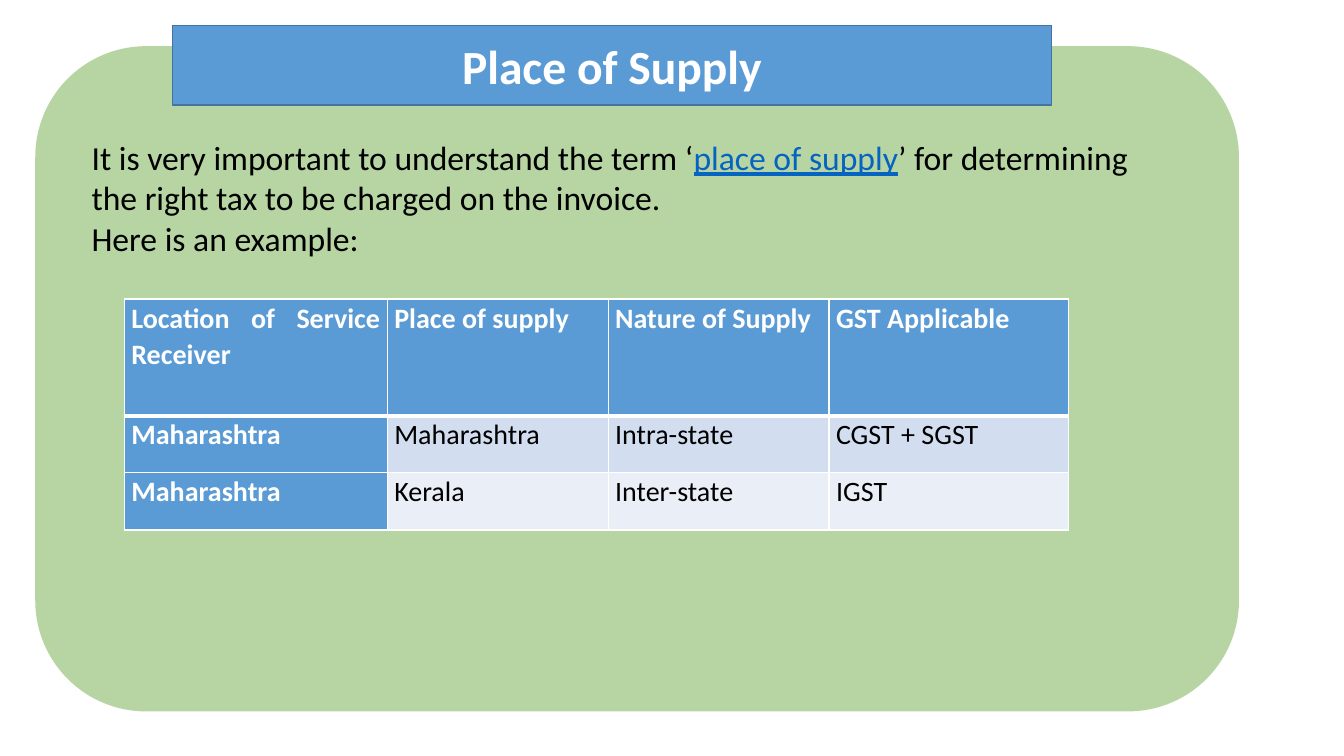
from lxml.etree import SubElement
from pptx import Presentation
from pptx.dml.color import RGBColor
from pptx.enum.shapes import MSO_SHAPE as Shape
from pptx.enum.text import MSO_ANCHOR as Anchor, MSO_AUTO_SIZE as AutoSize, PP_ALIGN as Align
from pptx.oxml import parse_xml
from pptx.oxml.ns import nsdecls, qn
from pptx.util import Inches, Pt

WHITE, BLACK, BLUE, NAVY, GREEN, LINK = "FFFFFF", "000000", "5B9BD5", "43739E", "70AD47", "0563C1"
BANDS = ["D2DEEF", "EAEFF7"]


def paint(color, hex_code):
    color.rgb = RGBColor.from_string(hex_code)


def fill_with(item, hex_code):
    item.fill.solid()
    paint(item.fill.fore_color, hex_code)


class SlideBuilder:
    font = "Calibri"
    columns, rows = 160, 90

    def __init__(self, deck):
        self.page = deck.slides.add_slide(deck.slide_layouts[1])
        self.column = deck.slide_width / self.columns
        self.row = deck.slide_height / self.rows

    def across(self, count):
        return round(count * self.column)

    def down(self, count):
        return round(count * self.row)

    def area(self, left, top, width, height):
        return self.across(left), self.down(top), self.across(width), self.down(height)

    def place(self, box, *cells):
        box.left, box.top, box.width, box.height = self.area(*cells)
        box.text_frame.auto_size = AutoSize.NONE
        box.text_frame.word_wrap = True

    def add_span(self, para, text, size, color, bold=False, underline=False):
        span = para.add_run()
        span.text = text
        span.font.name = self.font
        span.font.size = Pt(size)
        span.font.bold = bold
        span.font.underline = underline
        paint(span.font.color, color)

    def panel(self, cells, color, opacity):
        box = self.page.shapes.add_shape(Shape.ROUNDED_RECTANGLE, *self.area(*cells))
        box.shadow.inherit = False
        fill_with(box, color)
        box.line.fill.background()
        shade = box._element.spPr.find(qn("a:solidFill"))[0]
        SubElement(shade, qn("a:alpha"), val=str(opacity * 1000))
        self.page.shapes._spTree.insert(2, box._element)

    def title(self, cells, text):
        box = self.page.shapes.title
        self.place(box, *cells)
        outline = parse_xml(f'<a:prstGeom {nsdecls("a")} prst="roundRect"><a:avLst/></a:prstGeom>')
        box._element.spPr.insert(1, outline)
        fill_with(box, BLUE)
        paint(box.line.color, NAVY)
        box.line.width = Pt(1)
        box.text_frame.vertical_anchor = Anchor.MIDDLE
        para = box.text_frame.paragraphs[0]
        para.alignment = Align.CENTER
        self.add_span(para, text, 34, WHITE, bold=True)

    def body(self, cells, paragraphs):
        box = self.page.placeholders[1]
        self.place(box, *cells)
        frame = box.text_frame
        for index, spans in enumerate(paragraphs):
            para = frame.add_paragraph() if index else frame.paragraphs[0]
            props = para._p.get_or_add_pPr()
            props.set("marL", "0")
            props.set("indent", "0")
            SubElement(props, qn("a:buNone"))
            para.space_before = Pt(0)
            for text, linked in spans:
                self.add_span(para, text, 24, LINK if linked else BLACK, underline=linked)

    def borders(self, cell, top, bottom):
        props = cell._tc.get_or_add_tcPr()
        for side, width in (("L", 1), ("R", 1), ("T", top), ("B", bottom)):
            edge = SubElement(props, qn(f"a:ln{side}"), w=str(int(Pt(width))))
            SubElement(SubElement(edge, qn("a:solidFill")), qn("a:srgbClr"), val=WHITE)

    def cell(self, cell, text, row, column):
        heading = row == 0 or column == 0
        self.borders(cell, 3 if row == 1 else 1, 3 if row == 0 else 1)
        fill_with(cell, BLUE if heading else BANDS[(row - 1) % 2])
        cell.margin_left = cell.margin_right = Inches(0.07)
        cell.margin_top = cell.margin_bottom = 0
        para = cell.text_frame.paragraphs[0]
        para.alignment = Align.JUSTIFY
        para.line_spacing = 1.07
        para.space_after = Pt(8)
        self.add_span(para, text, 20, WHITE if heading else BLACK, bold=heading)

    def table(self, left, top, widths, heights, records):
        area = self.area(left, top, sum(widths), sum(heights))
        table = self.page.shapes.add_table(len(heights), len(widths), *area).table
        table.horz_banding = False
        for column, width in zip(table.columns, widths):
            column.width = self.across(width)
        for row, height in zip(table.rows, heights):
            row.height = self.down(height)
        for row, record in enumerate(records):
            for column, text in enumerate(record):
                self.cell(table.cell(row, column), text, row, column)


def main():
    deck = Presentation()
    deck.slide_width, deck.slide_height = Inches(13.33), Inches(7.5)
    slide = SlideBuilder(deck)
    slide.panel((4.2, 5.5, 143.3, 79.2), GREEN, 50)
    slide.title((20.5, 3, 104.7, 9.5), "Place of Supply")
    slide.body((9.7, 15.7, 131.4, 25.8), [
        [("It is very important to understand the term ‘", False),
         ("place of supply", True),
         ("’ for determining the right tax to be charged on the invoice.", False)],
        [("Here is an example:", False)],
    ])
    slide.table(14.8, 35.6, [31.3, 26.3, 26.3, 28.5], [13.9, 6.8, 6.8], [
        ["Location of Service Receiver", "Place of supply", "Nature of Supply", "GST Applicable"],
        ["Maharashtra", "Maharashtra", "Intra-state", "CGST + SGST"],
        ["Maharashtra", "Kerala", "Inter-state", "IGST"],
    ])
    deck.save("out.pptx")


if __name__ == "__main__":
    main()
